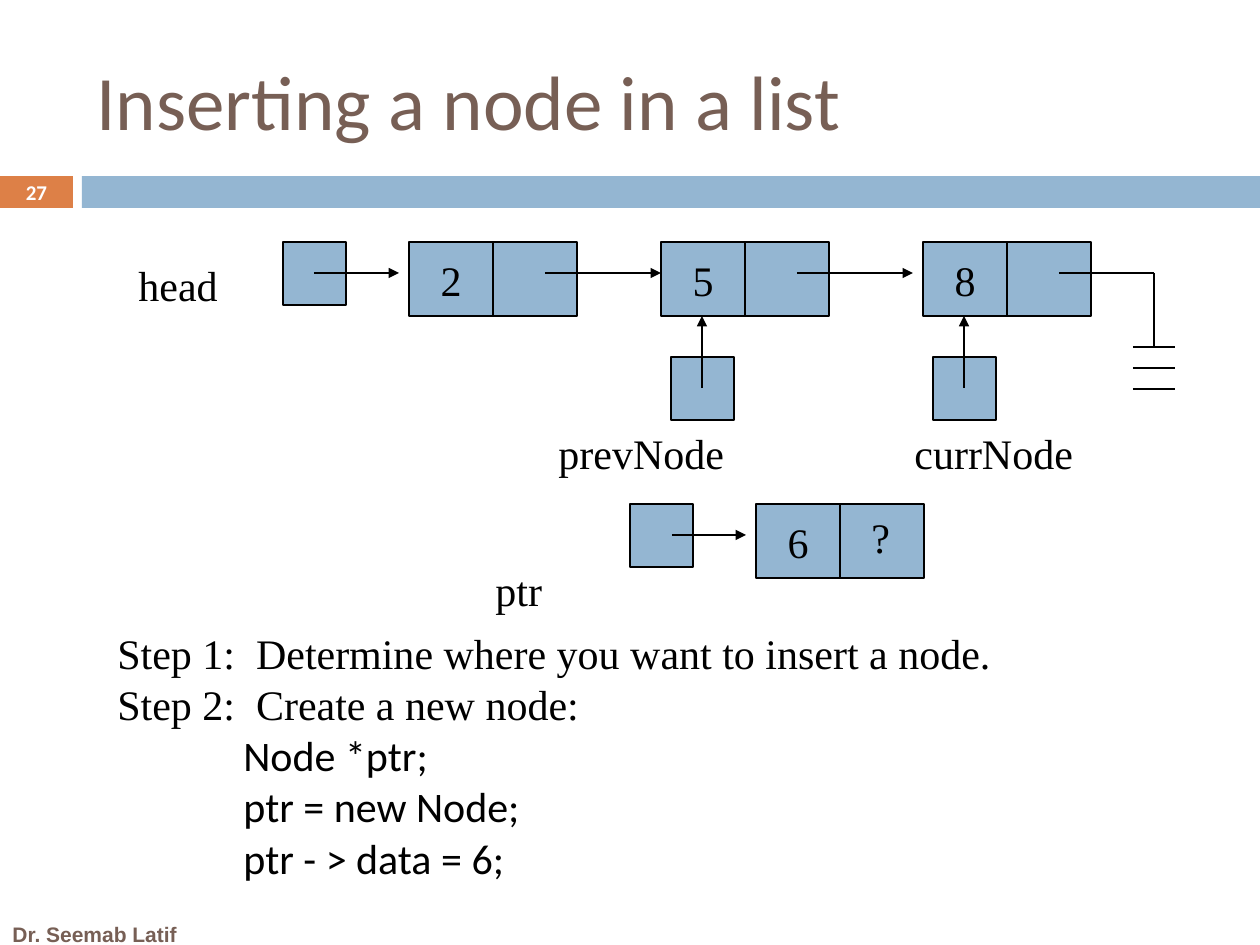
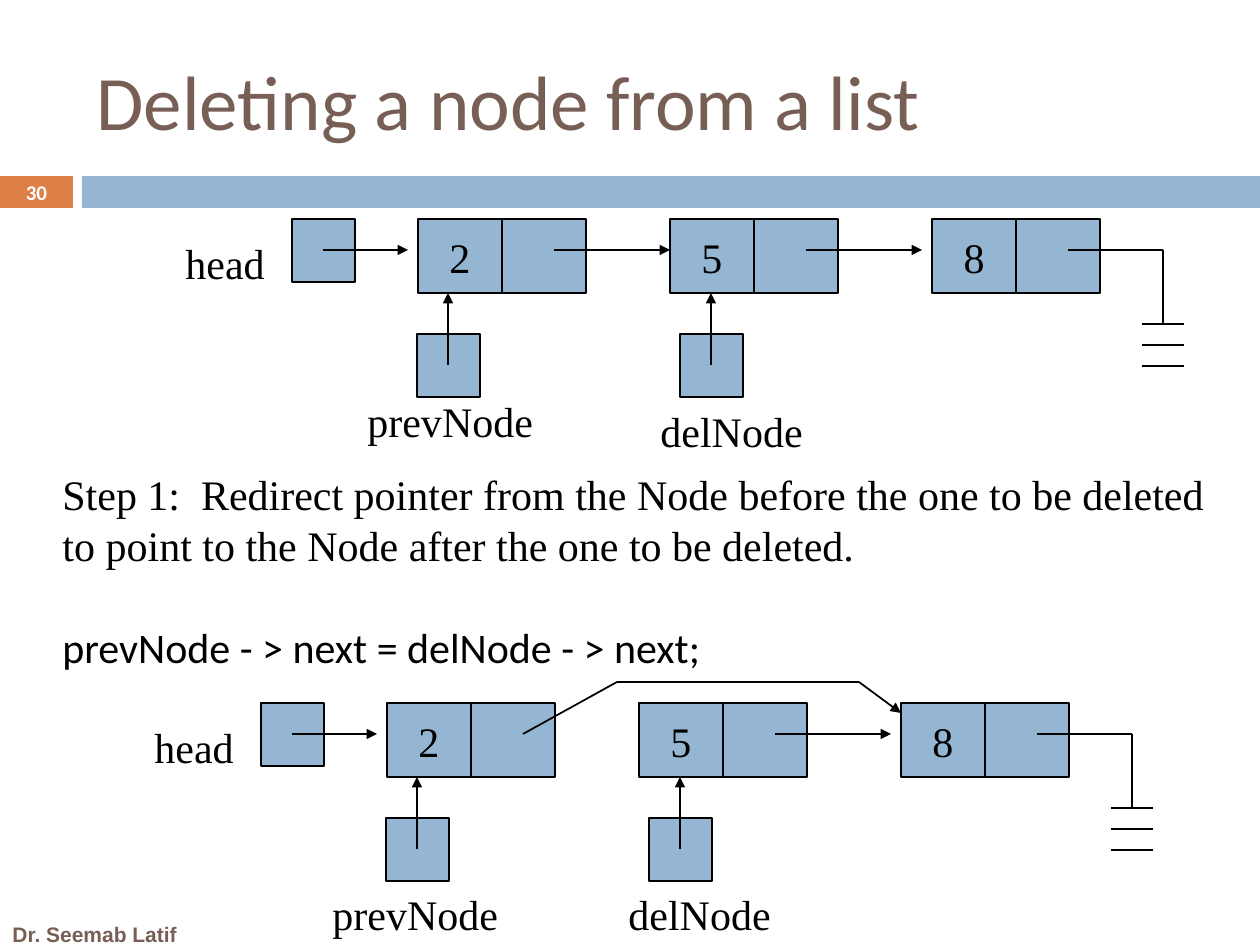
from itertools import pairwise

from lxml.etree import SubElement
from pptx import Presentation
from pptx.dml.color import RGBColor
from pptx.enum.shapes import MSO_CONNECTOR, MSO_SHAPE
from pptx.enum.text import MSO_ANCHOR, MSO_AUTO_SIZE, PP_ALIGN
from pptx.oxml.ns import qn
from pptx.util import Emu, Pt

PX_PER_INCH = 126
BLUE, ORANGE, BROWN = "94B6D2", "DD8047", "775F55"
BLACK, WHITE = "000000", "FFFFFF"
SERIF, SANS = "Times New Roman", "Calibri"
LINE_PITCH = Pt(29.3)
CELL_W, CELL_H, POINTER = 84, 74, 63
HALF = POINTER // 2
NODE_OFFSETS = (126, 378, 640)
LINK_START, LINK_LENGTH = 136, 116


def px(n):
    """Turn pixels into EMU."""
    return Emu(round(n * 914400 / PX_PER_INCH))


def rgb(color):
    """Turn a hex string into a colour."""
    return RGBColor.from_string(color)


def style(p, font=SERIF, size=24, color=BLACK, bold=False):
    """Format every run of a paragraph."""
    for r in p.runs:
        r.font.name, r.font.size, r.font.bold = font, Pt(size), bold
        r.font.color.rgb = rgb(color)


def add_box(s, x, y, w, h, fill=BLUE, outlined=True, text=""):
    """Draw a rectangle with optional centred text."""
    sp = s.shapes.add_shape(MSO_SHAPE.RECTANGLE, px(x), px(y), px(w), px(h))
    sp.shadow.inherit = False
    sp.fill.solid()
    sp.fill.fore_color.rgb = rgb(fill)
    if outlined:
        sp.line.color.rgb = rgb(BLACK)
        sp.line.width = Pt(1)
    else:
        sp.line.fill.background()
    tf = sp.text_frame
    tf.vertical_anchor = MSO_ANCHOR.MIDDLE
    if text:
        p = tf.paragraphs[0]
        p.text = text
        p.alignment = PP_ALIGN.CENTER
        p.line_spacing = LINE_PITCH
        style(p)
    return sp


def add_line(s, start, end, arrow=False):
    """Draw a thin black line, with an arrowhead at its end if asked."""
    c = s.shapes.add_connector(MSO_CONNECTOR.STRAIGHT, *map(px, start + end))
    c.line.color.rgb = rgb(BLACK)
    c.line.width = Pt(1)
    spPr = c._element.spPr
    if arrow:
        SubElement(spPr.find(qn("a:ln")), qn("a:tailEnd"), type="triangle")
    SubElement(spPr, qn("a:effectLst"))


def add_text(s, x, y, lines, w=220, h=64):
    """Write (text, font) lines in a text box and return its paragraphs."""
    tf = s.shapes.add_textbox(px(x), px(y), px(w), px(h)).text_frame
    tf.word_wrap = True
    tf.text = "\n".join(text for text, _ in lines)
    for p, (_, font) in zip(tf.paragraphs, lines):
        p.line_spacing = LINE_PITCH
        style(p, font)
    return tf.paragraphs


def add_label(s, x, y, text):
    """Write the name of a pointer."""
    add_text(s, x, y, [(text, SERIF)])


def add_node(s, x, y, data):
    """Draw a list node: a data cell and a next cell."""
    add_box(s, x, y, CELL_W, CELL_H, text=data)
    add_box(s, x + CELL_W, y, CELL_W, CELL_H)


def add_ground(s, x, y):
    """Draw the null end of a list, starting from its last node."""
    mid, top = x + 231, y + 105
    add_line(s, (x + LINK_START, y + HALF), (mid, y + HALF))
    add_line(s, (mid, y + HALF), (mid, top))
    for bar in range(3):
        bar_y = top + 21 * bar
        add_line(s, (mid - 21, bar_y), (mid + 21, bar_y))


def add_chain(s, x, y, linked=(0, 1)):
    """Draw the head pointer and the list 2, 5, 8; link the given nodes."""
    add_box(s, x, y, POINTER, POINTER)
    nodes = [x + offset for offset in NODE_OFFSETS]
    for node_x, data in zip(nodes, "258"):
        add_node(s, node_x, y, data)
    add_line(s, (x + HALF, y + HALF), (x + 116, y + HALF), arrow=True)
    for i in linked:
        start = nodes[i] + LINK_START
        add_line(s, (start, y + HALF), (start + LINK_LENGTH, y + HALF), arrow=True)
    add_ground(s, nodes[-1], y)


def add_pointer_below(s, x, chain_y):
    """Draw a pointer box that points up at a node of a chain."""
    y = chain_y + 115
    add_box(s, x, y, POINTER, POINTER)
    add_line(s, (x + HALF, y + HALF), (x + HALF, chain_y + CELL_H), arrow=True)


def add_slide(prs, title, number):
    """Start a slide with title, bands, slide number and footer."""
    s = prs.slides.add_slide(prs.slide_layouts[5])
    sp = s.shapes.title
    sp.left, sp.top, sp.width, sp.height = map(px, (84, 32, 1124, 136))
    tf = sp.text_frame
    tf.text = title
    tf.auto_size = MSO_AUTO_SIZE.NONE
    tf.vertical_anchor = MSO_ANCHOR.MIDDLE
    tf.paragraphs[0].alignment = PP_ALIGN.LEFT
    style(tf.paragraphs[0], SANS, 44, BROWN)

    add_box(s, 82, 176, 1178, 32, outlined=False)
    tf = add_box(s, 0, 176, 73, 32, ORANGE, outlined=False).text_frame
    tf.text = number
    tf.margin_top = tf.margin_bottom = 0
    tf.paragraphs[0].alignment = PP_ALIGN.CENTER
    style(tf.paragraphs[0], SANS, 12, WHITE, bold=True)

    tf = s.shapes.add_textbox(px(0), px(914), px(231), px(40)).text_frame
    tf.text = "Dr. Seemab Latif"
    tf.word_wrap = True
    tf.vertical_anchor = MSO_ANCHOR.MIDDLE
    style(tf.paragraphs[0], "Arial", 12, BROWN, bold=True)
    return s


def build_insert_slide(prs):
    """Show a new node waiting to be inserted between 5 and 8."""
    s = add_slide(prs, "Inserting a node in a list", "27")
    x, y = 283, 242
    add_chain(s, x, y)
    for offset in NODE_OFFSETS[1:]:
        add_pointer_below(s, x + offset + 10, y)
    add_label(s, 126, 252, "head")
    add_label(s, 546, 420, "prevNode")
    add_label(s, 902, 420, "currNode")

    add_box(s, 630, 504, POINTER, POINTER)
    add_node(s, 756, 504, "6")
    add_line(s, (672, 535), (746, 535), arrow=True)
    add_label(s, 859, 504, "?")
    add_label(s, 483, 557, "ptr")

    steps = add_text(s, 105, 620, [
        ("Step 1:  Determine where you want to insert a node.", SERIF),
        ("Step 2:  Create a new node:", SERIF),
        ("Node *ptr;", SANS),
        ("ptr = new Node;", SANS),
        ("ptr - > data = 6;", SANS),
    ], 960, 267)
    for p in steps[2:]:
        p._p.get_or_add_pPr().set("marL", str(px(PX_PER_INCH)))


def build_delete_slide(prs):
    """Show the list before and after node 5 is bypassed."""
    s = add_slide(prs, "Deleting a node from a list", "30")
    for x, y, linked in ((292, 219, (0, 1)), (261, 703, (1,))):
        add_chain(s, x, y, linked)
        add_pointer_below(s, x + NODE_OFFSETS[0] - 1, y)
        add_pointer_below(s, x + NODE_OFFSETS[1] + 10, y)
        add_label(s, x - 119, y + 11, "head")
    add_label(s, 355, 388, "prevNode")
    add_label(s, 648, 398, "delNode")
    add_label(s, 320, 881, "prevNode")
    add_label(s, 616, 881, "delNode")

    bypass = [(523, 734), (617, 682), (859, 682), (901, 713)]
    segments = list(pairwise(bypass))
    for segment in segments:
        add_line(s, *segment, arrow=segment == segments[-1])

    step = add_text(s, 50, 461, [
        ("Step 1:  Redirect pointer from the Node before the one to be deleted "
         "to point to the Node after the one to be deleted.", SERIF),
        ("prevNode - > next = delNode - > next;", SANS),
    ], 1168, 217)
    step[1].space_before = LINE_PITCH


def main():
    """Build both slides and save the file."""
    prs = Presentation()
    prs.slide_width, prs.slide_height = px(1260), px(945)
    build_insert_slide(prs)
    build_delete_slide(prs)
    prs.save("out.pptx")


if __name__ == "__main__":
    main()
